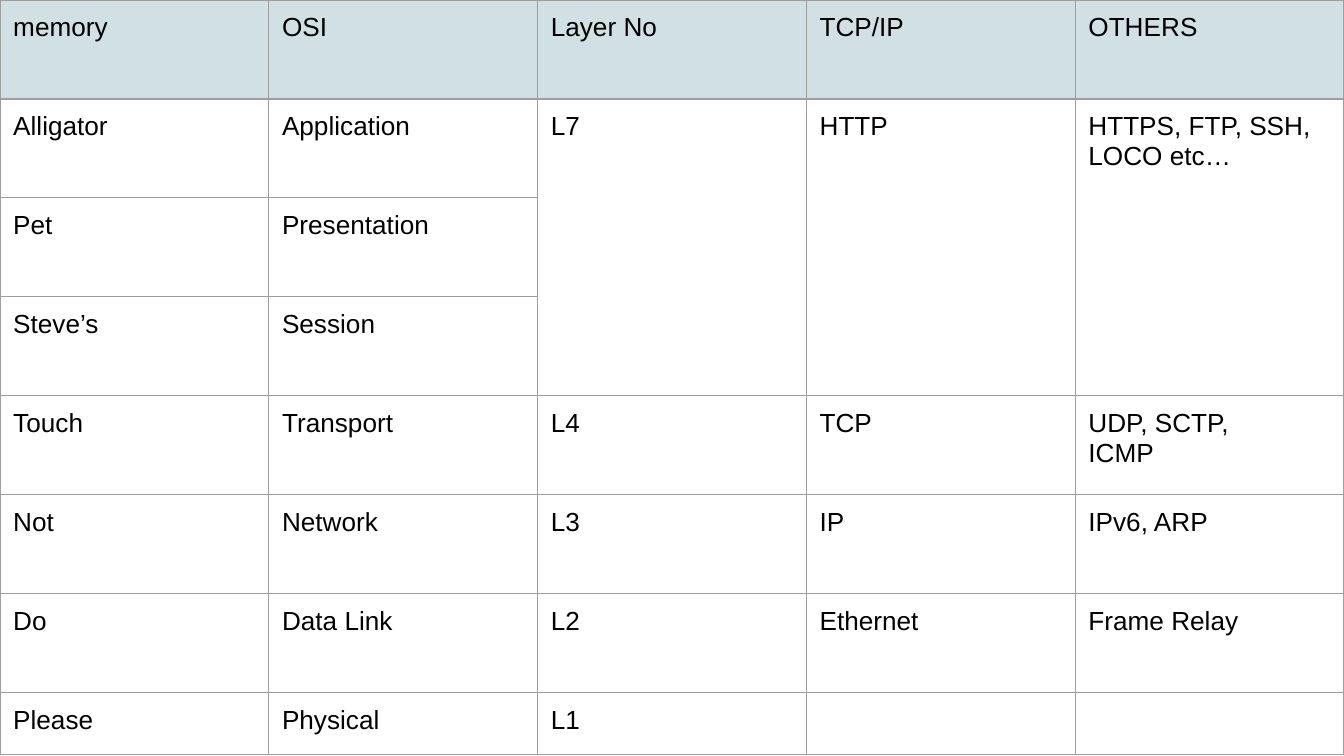
"""Build a slide with a table of network layers and their protocols."""
from dataclasses import dataclass

import pptx
import pptx.dml.color
import pptx.oxml
import pptx.oxml.ns
import pptx.table
import pptx.util
from pptx.util import Cm


@dataclass(frozen=True)
class Theme:
    font: str = "Arial"
    size: float = 14
    ink: str = "000000"
    header: str = "D0E0E3"
    border: str = "9E9E9E"
    border_width: float = 0.75


@dataclass(frozen=True)
class Layer:
    memory: str
    osi: str
    number: str = ""
    tcp_ip: str = ""
    others: str = ""

    def texts(self) -> list[str]:
        return [self.memory, self.osi, self.number, self.tcp_ip, self.others]


THEME = Theme()
LAYERS = [
    Layer("memory", "OSI", "Layer No", "TCP/IP", "OTHERS"),
    Layer("Alligator", "Application", "L7", "HTTP", "HTTPS, FTP, SSH, LOCO etc… "),
    Layer("Pet", "Presentation"),
    Layer("Steve’s", "Session"),
    Layer("Touch", "Transport", "L4", "TCP", "UDP, SCTP, \nICMP"),
    Layer("Not", "Network", "L3", "IP", "IPv6, ARP"),
    Layer("Do", "Data Link", "L2", "Ethernet", "Frame Relay"),
    Layer("Please", "Physical", "L1"),
]
COLUMN_COUNT = 5
COLUMN_WIDTH = Cm(5.08)
ROW_HEIGHT = Cm(1.87)
LAST_ROW_HEIGHT = Cm(1.17)
CELL_MARGIN = Cm(0.25)
MERGED_COLUMNS = (2, 3, 4)
MERGED_ROWS = (1, 3)


def draw_borders(cell: pptx.table._Cell) -> None:
    properties = cell._tc.get_or_add_tcPr()
    width = pptx.util.Pt(THEME.border_width)
    for index, side in enumerate(("lnL", "lnR", "lnT", "lnB")):
        line = pptx.oxml.parse_xml(
            f'<a:{side} {pptx.oxml.ns.nsdecls("a")} w="{width}"><a:solidFill>'
            f'<a:srgbClr val="{THEME.border}"/></a:solidFill></a:{side}>'
        )
        properties.insert(index, line)


def fill_cell(cell: pptx.table._Cell, text: str, is_header: bool) -> None:
    cell.margin_left = cell.margin_right = CELL_MARGIN
    cell.margin_top = cell.margin_bottom = CELL_MARGIN
    cell.text = text
    for paragraph in cell.text_frame.paragraphs:
        paragraph.font.name = THEME.font
        paragraph.font.size = pptx.util.Pt(THEME.size)
        paragraph.font.color.rgb = pptx.dml.color.RGBColor.from_string(THEME.ink)
    if is_header:
        cell.fill.solid()
        cell.fill.fore_color.rgb = pptx.dml.color.RGBColor.from_string(THEME.header)
    else:
        cell.fill.background()
    draw_borders(cell)


def main() -> None:
    deck = pptx.Presentation()
    deck.slide_width, deck.slide_height = Cm(25.4), Cm(14.29)
    page = deck.slides.add_slide(deck.slide_layouts[6])
    heights = [ROW_HEIGHT] * (len(LAYERS) - 1) + [LAST_ROW_HEIGHT]
    frame = page.shapes.add_table(
        len(LAYERS), COLUMN_COUNT, 0, 0, COLUMN_WIDTH * COLUMN_COUNT, sum(heights)
    )
    table = frame.table
    table.first_row = table.horz_banding = False
    for row, height in zip(table.rows, heights):
        row.height = height
    for column in table.columns:
        column.width = COLUMN_WIDTH
    for row_index, layer in enumerate(LAYERS):
        for column_index, text in enumerate(layer.texts()):
            fill_cell(table.cell(row_index, column_index), text, row_index == 0)
    first, last = MERGED_ROWS
    for column_index in MERGED_COLUMNS:
        table.cell(first, column_index).merge(table.cell(last, column_index))
    deck.save("out.pptx")


main()
